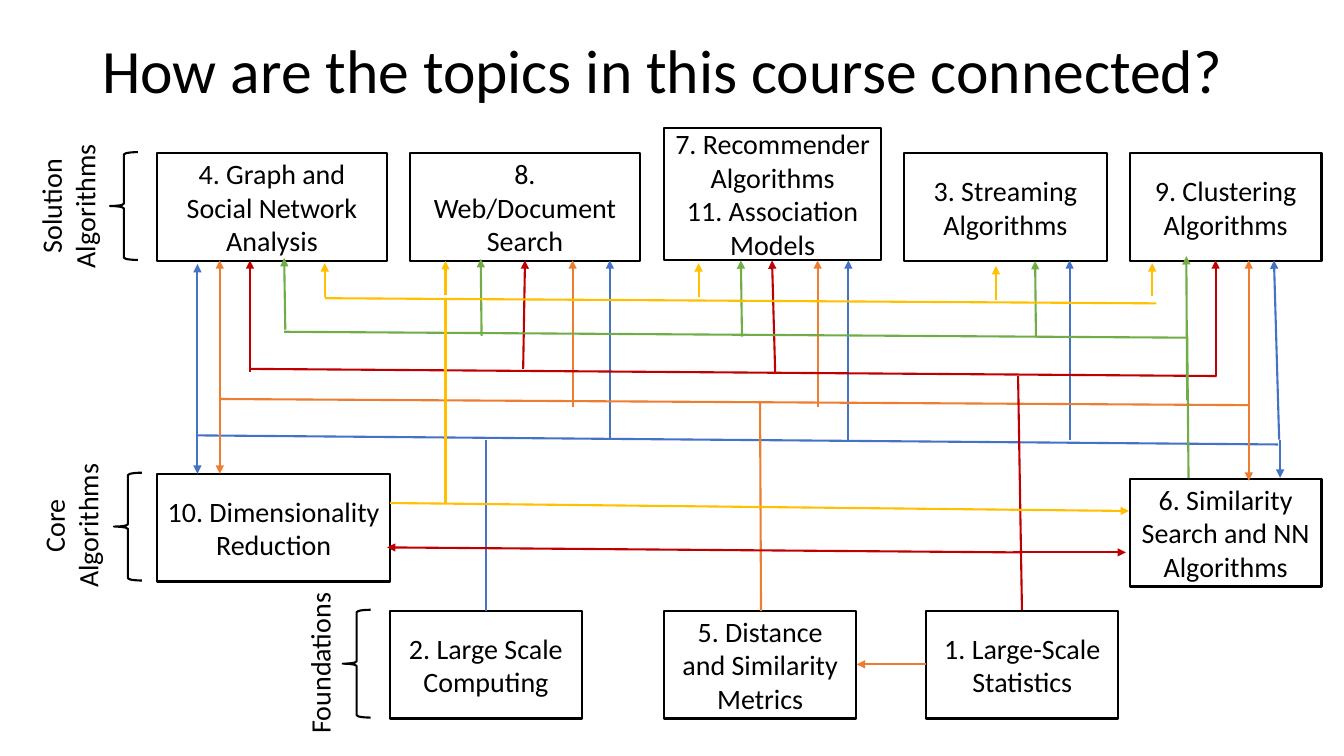
from pptx import Presentation
from pptx.dml.color import RGBColor
from pptx.enum.shapes import MSO_CONNECTOR, MSO_SHAPE
from pptx.enum.text import MSO_ANCHOR, PP_ALIGN
from pptx.oxml.ns import qn
from pptx.util import Pt
from lxml.etree import SubElement

BLACK, BLUE, ORANGE = "000000", "4472C4", "ED7D31"
RED, GREEN, YELLOW = "C00000", "70AD47", "FFC000"


def rgb(value):
    return RGBColor.from_string(value)


class Diagram:
    """Holds the slide and the style shared by its elements."""
    font = "Calibri"
    line_width = 1.5
    text_size = 20

    def __init__(self, slide):
        self.s = slide

    def fill_text(self, tf, text, size, align, anchor):
        tf.text = text
        tf.word_wrap = True
        tf.vertical_anchor = anchor
        for p in tf.paragraphs:
            p.alignment = align
            for r in p.runs:
                r.font.name = self.font
                r.font.size = Pt(size)
                r.font.color.rgb = rgb(BLACK)

    def label(self, text, x, y, w, h, size=text_size, rotation=0,
              align=PP_ALIGN.CENTER, anchor=MSO_ANCHOR.TOP):
        sp = self.s.shapes.add_textbox(Pt(x), Pt(y), Pt(w), Pt(h))
        sp.rotation = rotation
        self.fill_text(sp.text_frame, text, size, align, anchor)
        return sp

    def outline(self, kind, x, y, w, h):
        sp = self.s.shapes.add_shape(kind, Pt(x), Pt(y), Pt(w), Pt(h))
        sp.shadow.inherit = False
        sp.fill.background()
        sp.line.color.rgb = rgb(BLACK)
        sp.line.width = Pt(self.line_width)
        return sp

    def box(self, text, x, y, w, h):
        sp = self.outline(MSO_SHAPE.RECTANGLE, x, y, w, h)
        self.fill_text(sp.text_frame, text, self.text_size, PP_ALIGN.CENTER, MSO_ANCHOR.MIDDLE)

    def brace(self, x, y, w, h):
        self.outline(MSO_SHAPE.LEFT_BRACE, x, y, w, h)

    def line(self, color, x1, y1, x2, y2, arrow=False):
        c = self.s.shapes.add_connector(MSO_CONNECTOR.STRAIGHT, Pt(x1), Pt(y1), Pt(x2), Pt(y2))
        c.line.color.rgb = rgb(color)
        c.line.width = Pt(self.line_width)
        sp_pr = c._element.spPr
        if arrow:
            SubElement(sp_pr.find(qn("a:ln")), qn("a:tailEnd"), type="triangle")
        SubElement(sp_pr, qn("a:effectLst"))


# Topic boxes: text, left, top, width, height
BOX_H = 77
SOLUTION_Y, CORE_Y, FOUNDATION_Y = 109.4, 338.4, 436.3
TOPICS = [
    ("2. Large Scale Computing", 278.6, FOUNDATION_Y, 137, BOX_H),
    ("5. Distance and Similarity Metrics", 474.5, FOUNDATION_Y, 137, BOX_H),
    ("1. Large-Scale Statistics", 661.7, FOUNDATION_Y, 137, BOX_H),
    ("10. Dimensionality Reduction", 112.3, CORE_Y, 166.3, BOX_H),
    ("6. Similarity Search and NN Algorithms", 807, 342, 137, BOX_H),
    ("7. Recommender Algorithms\n11. Association Models", 474.5, 91.4, 154.8, 94.3),
    ("8. Web/Document Search", 293, SOLUTION_Y, 164, BOX_H),
    ("3. Streaming Algorithms", 645.8, SOLUTION_Y, 144.7, BOX_H),
    ("4. Graph and Social Network Analysis", 112.3, SOLUTION_Y, 164, BOX_H),
    ("9. Clustering Algorithms", 807, SOLUTION_Y, 137, BOX_H),
]

# Links per colour: plain lines, then arrows, each as x1, y1, x2, y2
LINKS = {
    BLUE: (
        [(141, 311, 913, 317.5), (347, 436.3, 347, 314)],
        [(141, 311, 141, 338.4), (914.4, 314, 914.4, 341.3), (141, 311, 141, 188.6),
         (913.7, 314, 910, 186), (764, 314, 764, 186), (606, 314, 606, 186),
         (435.6, 314, 435.6, 186)]),
    ORANGE: (
        [(157, 285, 892, 289.4), (543.6, 436.3, 542.9, 287.3)],
        [(157, 287, 157, 186), (157, 285, 157, 338.4), (892, 289.4, 892, 343.4),
         (892, 289.4, 892, 186), (584, 291, 584, 186), (409, 291, 409, 186),
         (661.7, 474.5, 612, 474.5)]),
    RED: (
        [(178, 263.5, 869, 268.6), (730, 435.6, 727.2, 268.6)],
        [(723.6, 394.6, 804.2, 394.6), (728.6, 394.6, 276.5, 391),
         (868.3, 268.6, 868.3, 186), (553.7, 265.7, 551.5, 186),
         (373.7, 263.5, 375, 186), (178.6, 265.7, 178.6, 186)]),
    GREEN: (
        [(849, 341.3, 848, 238.3), (203, 237, 848, 241.2)],
        [(848, 286, 847.4, 183), (740, 241, 739.4, 186.5), (530, 240.5, 529.2, 186),
         (344, 240, 343.4, 185), (203.8, 235.4, 203, 184.3)]),
    YELLOW: (
        [(232, 213, 826, 216.7), (318.2, 214, 318.2, 359.3)],
        [(232, 212.4, 232, 188), (318.2, 211, 318.2, 186.5), (499, 212.4, 499, 188),
         (711.4, 214, 711.4, 190), (823, 211.7, 823, 188), (278.6, 359.3, 806.4, 365)]),
}

# Layers: label, its left, top and height, then left and top of the brace
LAYERS = [
    ("Foundations", 166.3, 458, 31.5, 244.8, 435.6),
    ("Core Algorithms", -11.5, 347.8, 55.4, 81.4, 337.7),
    ("Solution Algorithms", -13.7, 119.5, 55.4, 78.5, 108.7),
]


def main():
    prs = Presentation()
    prs.slide_width, prs.slide_height = Pt(960), Pt(540)
    d = Diagram(prs.slides.add_slide(prs.slide_layouts[6]))

    # Title
    title = d.label("How are the topics in this course connected?", 66, 0, 828, 104.4,
                    size=44, align=PP_ALIGN.LEFT, anchor=MSO_ANCHOR.MIDDLE)
    title.text_frame.paragraphs[0].line_spacing = 0.9

    # Topics
    for topic in TOPICS:
        d.box(*topic)

    # Links between topics
    for color, (plain, arrows) in LINKS.items():
        for ends in plain:
            d.line(color, *ends)
        for ends in arrows:
            d.line(color, *ends, arrow=True)

    # Layer labels and braces
    for name, x, y, h, brace_x, brace_y in LAYERS:
        d.brace(brace_x, brace_y, 20, BOX_H)
        d.label(name, x, y, 124, h, rotation=270)

    prs.save("out.pptx")


if __name__ == "__main__":
    main()
